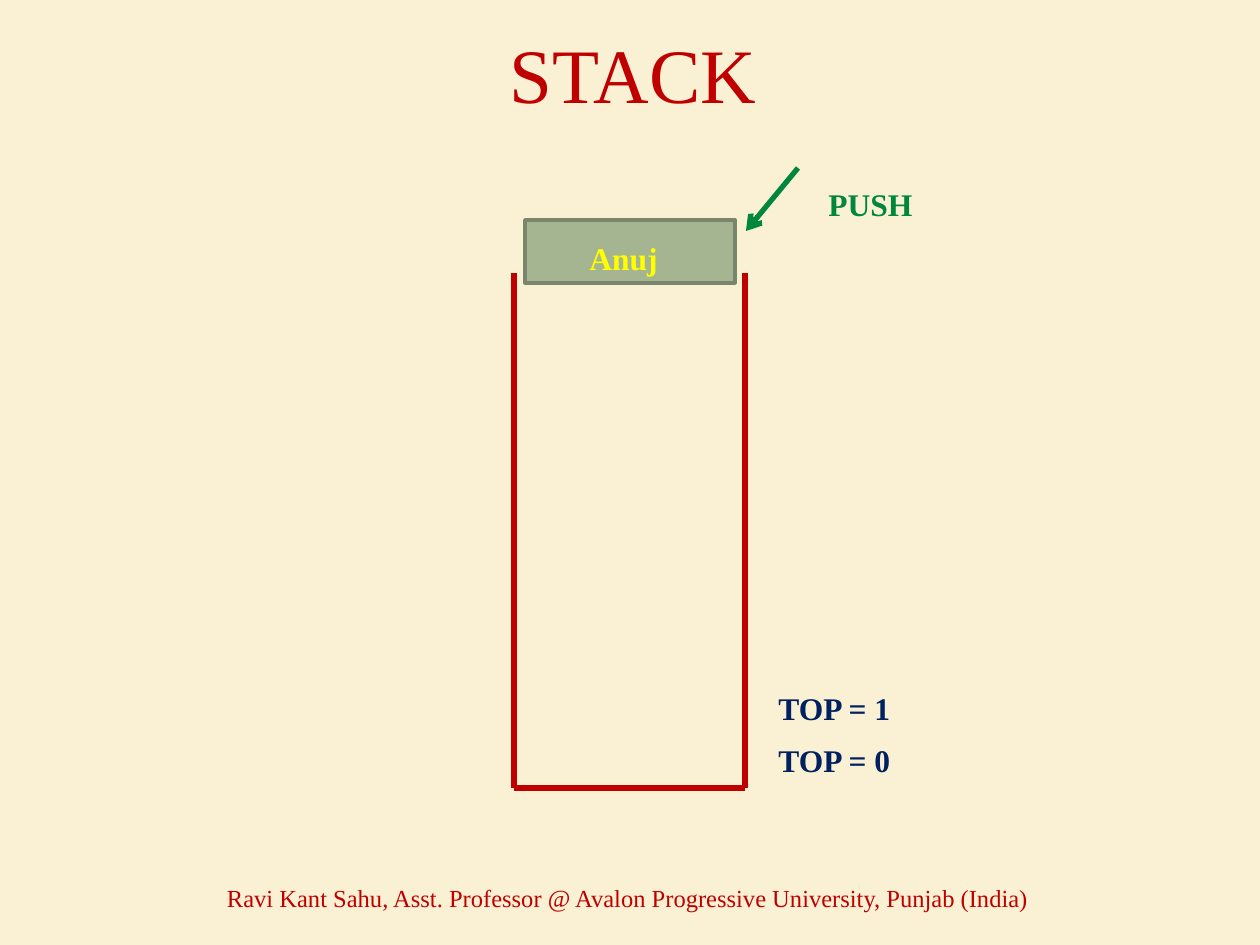
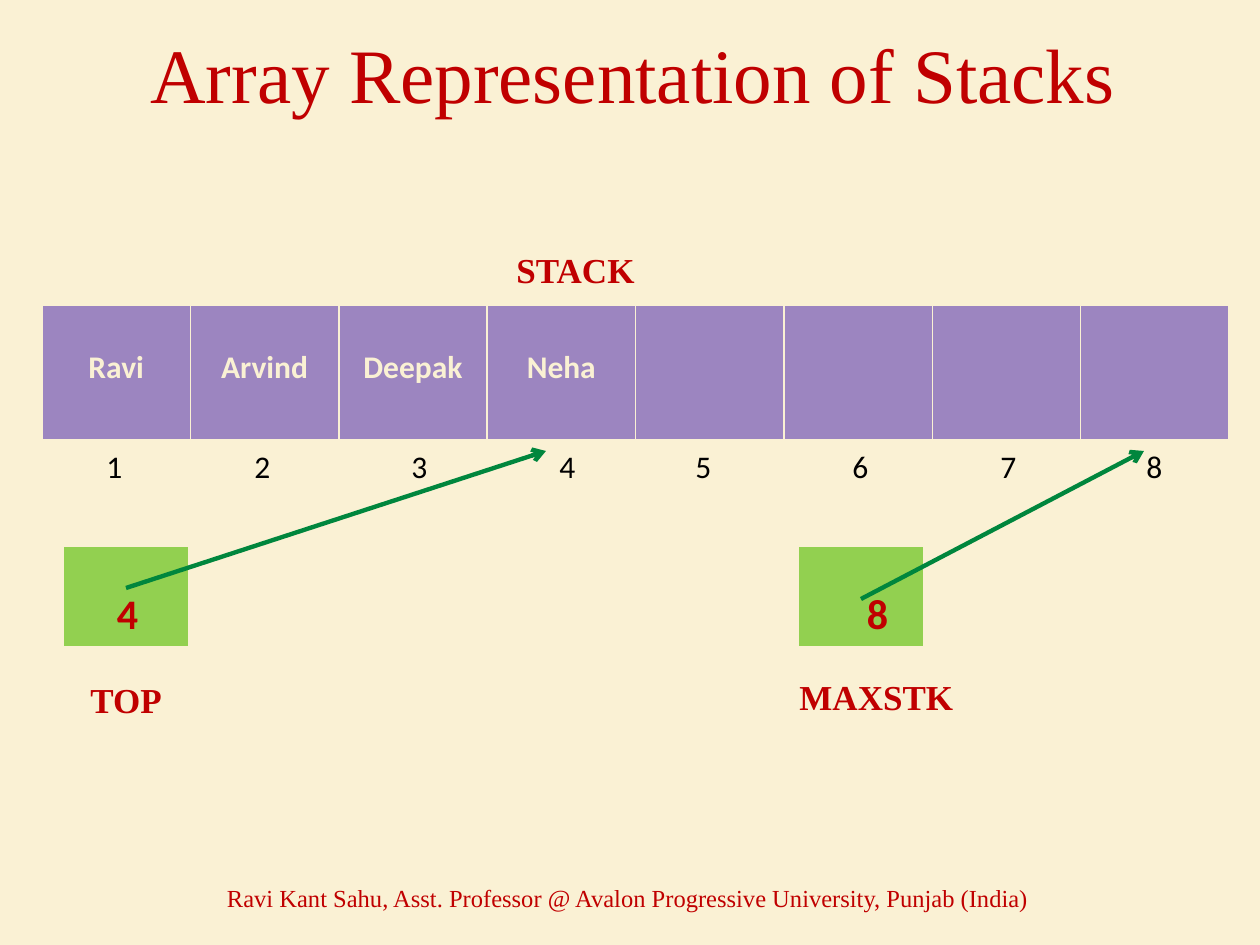
from pptx import Presentation, util as u
from pptx.dml.color import RGBColor
from pptx.enum import shapes, text
from pptx.oxml.ns import qn
from lxml import etree

# Shared look
HEX = dict(page="FAF1D4", red="C00000", green="00863D", navy="002060",
           yellow="FFFF00", sage="A5B592", edge="7A866C",
           purple="9C85C0", lime="92D050", black="000000")
RGB = {name: RGBColor.from_string(code) for name, code in HEX.items()}
SERIF, SANS = "Times New Roman", "Calibri"
FOOTER = ("Ravi Kant Sahu, Asst. Professor @ "
          "Avalon Progressive University, Punjab (India)")
PX = 914400 / 126


def px(*nums):
    return [u.Emu(round(n * PX)) for n in nums]


def write(frame, words, size, color, font=SERIF, bold=True, align=None):
    par = frame.paragraphs[0]
    par.alignment = align
    run = par.add_run()
    run.text = words
    run.font.size = u.Pt(size)
    run.font.name = font
    run.font.bold = bold
    run.font.color.rgb = RGB[color]


prs = Presentation()
prs.slide_width, prs.slide_height = px(1260, 945)
MID = text.PP_ALIGN.CENTER

# Background, title and footer of each slide
slides = []
for words in ("STACK", "Array Representation of Stacks"):
    slide = prs.slides.add_slide(prs.slide_layouts[5])
    slide.background.fill.solid()
    slide.background.fill.fore_color.rgb = RGB["page"]
    title = slide.shapes.title
    title.left, title.top, title.width, title.height = px(69, 0, 1128, 145)
    foot = slide.shapes.add_textbox(*px(105, 873, 1046, 50))
    for box, line, size in ((title, words, 44), (foot, FOOTER, 14)):
        box.text_frame.word_wrap = True
        box.text_frame.vertical_anchor = text.MSO_ANCHOR.MIDDLE
        write(box.text_frame, line, size, "red", bold=False, align=MID)
    slides.append(slide)
stack, array = slides

# Pushed item
item = stack.shapes.add_shape(shapes.MSO_SHAPE.RECTANGLE,
                              *px(525, 220, 210, 63))
item.shadow.inherit = False
item.fill.solid()
item.fill.fore_color.rgb = RGB["sage"]
item.line.color.rgb = RGB["edge"]
item.line.width = u.Pt(2)

# Array and its two pointers: left, top, width, height, fill, entries,
# text size, text colour, left margin (None centres the text)
tables = [
    (42, 305, 1187, 136, "purple", ["Ravi", "Arvind", "Deepak", "Neha"] + [""] * 4,
     18, "page", None),
    (63, 546, 126, 102, "lime", ["4"], 24, "red", 54),
    (798, 546, 126, 102, "lime", ["8"], 24, "red", 69),
]
for x, y, w, h, fill, names, size, color, inset in tables:
    grid = array.shapes.add_table(1, len(names), *px(x, y, w, h)).table
    for cell, name in zip(grid.rows[0].cells, names):
        cell.margin_top = px(44)[0]
        if inset:
            cell.margin_left = px(inset)[0]
        if name:
            write(cell.text_frame, name, size, color, SANS,
                  align=None if inset else MID)
        props = cell._tc.get_or_add_tcPr()
        for side, width in zip("LRTB", (1, 1, 1, 3)):
            edge = etree.SubElement(props, qn("a:ln" + side),
                                    w=str(u.Pt(width)))
            paint = etree.SubElement(edge, qn("a:solidFill"))
            etree.SubElement(paint, qn("a:srgbClr"), val=HEX["page"])
        cell.fill.solid()
        cell.fill.fore_color.rgb = RGB[fill]

# Lines and arrows: slide, from, to, colour, width, arrowhead
lines = [
    (stack, 514, 273, 514, 788, "red", 3, False),
    (stack, 745, 273, 745, 788, "red", 3, False),
    (stack, 514, 788, 745, 788, "red", 3, False),
    (stack, 798, 168, 746, 231, "green", 3, True),
    (array, 126, 588, 546, 451, "green", 2.5, True),
    (array, 861, 599, 1144, 451, "green", 2.5, True),
]
for slide, x1, y1, x2, y2, color, width, arrow in lines:
    line = slide.shapes.add_connector(shapes.MSO_CONNECTOR.STRAIGHT,
                                      *px(x1, y1, x2, y2))
    line.line.color.rgb = RGB[color]
    line.line.width = u.Pt(width)
    if arrow:
        etree.SubElement(line.line._get_or_add_ln(), qn("a:tailEnd"),
                         type="arrow")
    etree.SubElement(line._element.spPr, qn("a:effectLst"))

# Labels: slide, left, top, width, height, words, size, colour, font, bold
labels = [
    (stack, 766, 735, 139, 50, "TOP = 0", 18, "navy", SERIF, True),
    (stack, 766, 683, 139, 50, "TOP = 1", 18, "navy", SERIF, True),
    (stack, 577, 233, 94, 50, "Anuj", 18, "yellow", SERIF, True),
    (stack, 816, 179, 111, 50, "PUSH", 18, "green", SERIF, True),
    (array, 504, 242, 145, 55, "STACK", 20, "red", SERIF, True),
    (array, 78, 672, 98, 55, "TOP", 20, "red", SERIF, True),
    (array, 787, 669, 180, 55, "MAXSTK", 20, "red", SERIF, True),
]
spots = (94, 242, 399, 547, 683, 840, 988, 1134)
labels += [(array, x, 441, 42, 50, str(n), 18, "black", SANS, False)
           for n, x in enumerate(spots, 1)]
for slide, x, y, w, h, *style in labels:
    frame = slide.shapes.add_textbox(*px(x, y, w, h)).text_frame
    frame.word_wrap = False
    frame.auto_size = text.MSO_AUTO_SIZE.SHAPE_TO_FIT_TEXT
    write(frame, *style)

prs.save("out.pptx")
